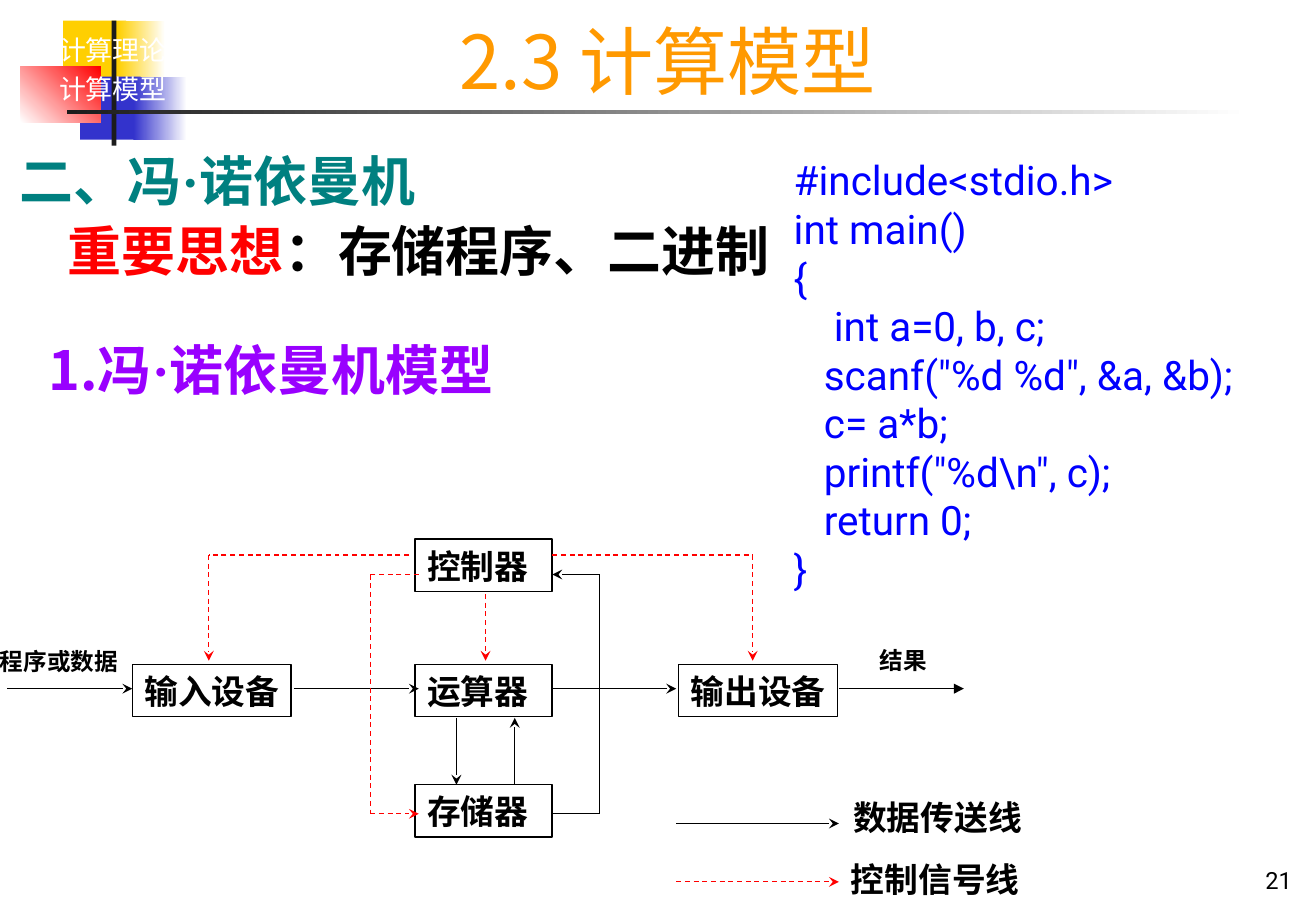
from pptx import Presentation
from pptx.dml.color import RGBColor
from pptx.enum.dml import MSO_LINE
from pptx.enum.shapes import MSO_CONNECTOR, MSO_SHAPE
from pptx.enum.text import MSO_ANCHOR, MSO_AUTO_SIZE, PP_ALIGN
from pptx.oxml.ns import qn
from pptx.util import Inches, Pt
from lxml import etree

RECTANGLE, STRAIGHT = MSO_SHAPE.RECTANGLE, MSO_CONNECTOR.STRAIGHT
DASH, NO_FIT = MSO_LINE.DASH, MSO_AUTO_SIZE.NONE
TOP, MIDDLE, BOTTOM = MSO_ANCHOR.TOP, MSO_ANCHOR.MIDDLE, MSO_ANCHOR.BOTTOM
LEFT, CENTER, RIGHT = PP_ALIGN.LEFT, PP_ALIGN.CENTER, PP_ALIGN.RIGHT

BLACK = RGBColor(0x00, 0x00, 0x00)
WHITE = RGBColor(0xFF, 0xFF, 0xFF)
RED = RGBColor(0xFF, 0x00, 0x00)
BLUE = RGBColor(0x00, 0x00, 0xFF)
TEAL = RGBColor(0x00, 0x80, 0x80)
PURPLE = RGBColor(0x99, 0x00, 0xFF)
ORANGE = RGBColor(0xFF, 0x99, 0x00)
YELLOW = RGBColor(0xFF, 0xCF, 0x01)
INDIGO = RGBColor(0x33, 0x33, 0xCC)
CHARCOAL = RGBColor(0x1C, 0x1C, 0x1C)

SANS, LATIN, SERIF, LEGEND = "Noto Sans CJK SC", "Roboto", "Times New Roman", "Vollkorn"

# Content: a paragraph is a list of runs, each (text, colour, font)
TITLE = "2.3 计算模型"
CORNER = ["计算理论", "计算模型"]
HEADINGS = [
    [("二、冯", TEAL, SANS), ("·", TEAL, SERIF), ("诺依曼机", TEAL, SANS)],
    [("重要思想", RED, SANS), ("：存储程序、二进制", BLACK, SANS)],
]
SUBHEADING = [("1.冯", PURPLE, SANS), ("·", PURPLE, SERIF), ("诺依曼机模型", PURPLE, SANS)]
CODE = [
    "#include<stdio.h>",
    "int main()",
    "{",
    "    int a=0, b, c;",
    '   scanf("%d %d", &a, &b);',
    "   c= a*b;",
    '   printf("%d\\n", c);',
    "   return 0;",
    "}",
]
# Corner ornament: left, top, width, height, start colour, end colour, angle
ORNAMENT = [
    (0.52, 0.17, 0.52, 0.52, YELLOW, None, 0),
    (0.97, 0.17, 0.39, 0.52, YELLOW, WHITE, 0),
    (0.66, 0.63, 0.5, 0.52, INDIGO, None, 0),
    (1.1, 0.63, 0.44, 0.52, INDIGO, WHITE, 0),
    (0.17, 0.55, 0.66, 0.46, WHITE, RED, 45),
    (0.92, 0.17, 0.04, 1.03, CHARCOAL, None, 0),
    (0.55, 0.91, 9.74, 0.03, CHARCOAL, WHITE, 0),
]
# Machine parts: text, left, top, width
CONTROL_Y, FLOW_Y, MEMORY_Y, BOX_HEIGHT = 4.44, 5.47, 6.46, 0.43
UNITS = [
    ("控制器", 3.42, CONTROL_Y, 1.13),
    ("输入设备", 1.09, FLOW_Y, 1.31),
    ("运算器", 3.42, FLOW_Y, 1.13),
    ("输出设备", 5.59, FLOW_Y, 1.31),
    ("存储器", 3.42, MEMORY_Y, 1.13),
]
# Labels: text, left, top, width, height, size, font
LABELS = [
    ("程序或数据", -0.1, 5.28, 1.17, 0.33, 14, SANS),
    ("结果", 7.15, 5.27, 0.59, 0.33, 14, SANS),
    ("数据传送线", 6.93, 6.51, 1.88, 0.43, 20, LEGEND),
    ("控制信号线", 6.91, 7.02, 1.8, 0.43, 20, LEGEND),
]
# Routes: corner points, with the arrowhead at the last one
DATA_Y, LOOP_Y, STORE_Y, SIGNAL_Y, SIGNAL_END = 5.67, 4.73, 6.7, 4.57, 5.44
DATA_ROUTES = [
    ([(0.06, DATA_Y), (1.09, DATA_Y)], "stealth"),
    ([(2.42, DATA_Y), (3.45, DATA_Y)], "stealth"),
    ([(4.55, DATA_Y), (5.57, DATA_Y)], "stealth"),
    ([(6.91, DATA_Y), (7.94, DATA_Y)], "triangle"),
    ([(3.76, 5.91), (3.76, MEMORY_Y)], "stealth"),
    ([(4.24, MEMORY_Y), (4.24, 5.91)], "stealth"),
    ([(4.55, STORE_Y), (4.94, STORE_Y), (4.94, LOOP_Y), (4.55, LOOP_Y)], "stealth"),
    ([(5.57, 6.78), (6.91, 6.78)], "stealth"),
]
SIGNAL_ROUTES = [
    ([(4, 4.89), (4, SIGNAL_END)], "stealth"),
    ([(3.45, LOOP_Y), (3.05, LOOP_Y), (3.05, STORE_Y), (3.45, STORE_Y)], "stealth"),
    ([(4.55, SIGNAL_Y), (6.2, SIGNAL_Y), (6.2, SIGNAL_END)], "stealth"),
    ([(3.37, SIGNAL_Y), (1.72, SIGNAL_Y), (1.72, SIGNAL_END)], "stealth"),
    ([(5.57, 7.26), (6.91, 7.26)], "stealth"),
]

presentation = Presentation()
presentation.slide_width, presentation.slide_height = Inches(10.84), Inches(7.5)
slide = presentation.slides.add_slide(presentation.slide_layouts[1])


def place(shape, left, top, width, height):
    shape.left, shape.top = Inches(left), Inches(top)
    shape.width, shape.height = Inches(width), Inches(height)


def set_font(font, name, color):
    font.name, font.color.rgb = name, color
    properties = font.fill._xPr
    east_asian = etree.Element(qn("a:ea"), typeface=name)
    properties.find(qn("a:latin")).addnext(east_asian)


def write(shape, paragraphs, size, name=SANS, color=BLACK, bold=False,
          align=LEFT, anchor=TOP, wrap=True, space=0):
    """Fill a shape with paragraphs: plain strings or lists of runs."""
    frame = shape.text_frame
    frame.auto_size, frame.word_wrap, frame.vertical_anchor = NO_FIT, wrap, anchor
    for index, content in enumerate(paragraphs):
        paragraph = frame.add_paragraph() if index else frame.paragraphs[0]
        paragraph.alignment = align
        paragraph.space_before = Pt(space if index else 0)
        paragraph.font.size, paragraph.font.bold = Pt(size), bold
        if isinstance(content, str):
            set_font(paragraph.font, name, color)
            paragraph.add_run().text = content
            continue
        for text, run_color, run_font in content:
            run = paragraph.add_run()
            run.text = text
            set_font(run.font, run_font, run_color)


def add_text(left, top, width, height, paragraphs, size, **style):
    box = slide.shapes.add_textbox(0, 0, 0, 0)
    place(box, left, top, width, height)
    write(box, paragraphs, size, **style)


def add_rectangle(left, top, width, height):
    shape = slide.shapes.add_shape(RECTANGLE, 0, 0, 0, 0)
    place(shape, left, top, width, height)
    shape.shadow.inherit = False
    return shape


def add_route(points, arrow, color, dash=None):
    segments = list(zip(points, points[1:]))
    for start, end in segments:
        line = slide.shapes.add_connector(STRAIGHT, *map(Inches, start + end))
        line.line.color.rgb, line.line.width = color, Pt(0.75)
        if dash:
            line.line.dash_style = dash
        if (start, end) == segments[-1]:
            etree.SubElement(line.line._get_or_add_ln(), qn("a:tailEnd"), type=arrow)
        etree.SubElement(line._element.spPr, qn("a:effectLst"))


# Corner ornament and its caption
for left, top, width, height, start, end, angle in ORNAMENT:
    block = add_rectangle(left, top, width, height)
    block.line.fill.background()
    if end is None:
        block.fill.solid()
        block.fill.fore_color.rgb = start
    else:
        block.fill.gradient()
        block.fill.gradient_angle = angle
        for stop, color in zip(block.fill.gradient_stops, (start, end)):
            stop.color.rgb = color
add_text(0.3, 0.23, 1.26, 0.69, CORNER, 16, name=LATIN, color=WHITE, align=CENTER, space=4)

# Title and headings
title, body = slide.placeholders
place(title, 1.64, 0.08, 7.72, 0.83)
write(title, [TITLE], 44, color=ORANGE, align=CENTER, anchor=MIDDLE)
place(body, 0.06, 1.24, 9.51, 1.4)
write(body, HEADINGS, 32, bold=True, space=8)
for paragraph, indent in zip(body.text_frame.paragraphs, (0, 0.4)):
    paragraph.line_spacing = 0.87
    properties = paragraph._p.get_or_add_pPr()
    properties.set("marL", str(Inches(indent)))
    properties.set("indent", "0")
    properties.find(qn("a:defRPr")).addprevious(etree.Element(qn("a:buNone")))
add_text(0.3, 2.72, 5.12, 0.64, [SUBHEADING], 32, bold=True)

# Program listing and page number
add_text(6.44, 1.23, 4.44, 3.7, CODE, 24, name=LATIN, color=BLUE)
add_text(9.35, 7.08, 1.39, 0.33, ["21"], 14, name=LATIN, align=RIGHT, anchor=BOTTOM)

# Machine diagram and legend
for text, left, top, width in UNITS:
    unit = add_rectangle(left, top, width, BOX_HEIGHT)
    unit.fill.background()
    unit.line.color.rgb, unit.line.width = BLACK, Pt(1)
    write(unit, [text], 20, bold=True, wrap=False)
for text, left, top, width, height, size, name in LABELS:
    add_text(left, top, width, height, [text], size, name=name, bold=True, wrap=False)
for points, arrow in DATA_ROUTES:
    add_route(points, arrow, BLACK)
for points, arrow in SIGNAL_ROUTES:
    add_route(points, arrow, RED, DASH)

presentation.save("out.pptx")
